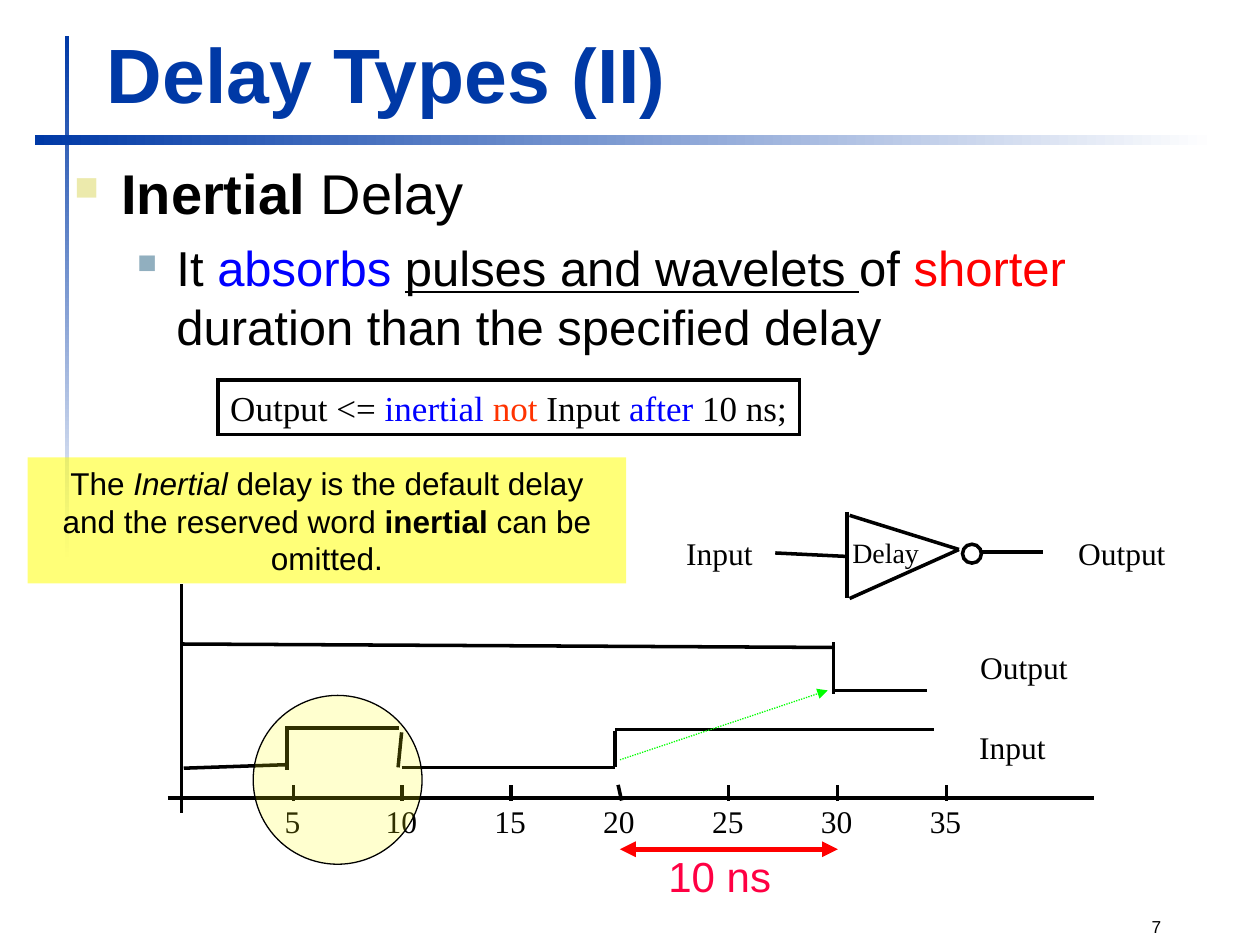
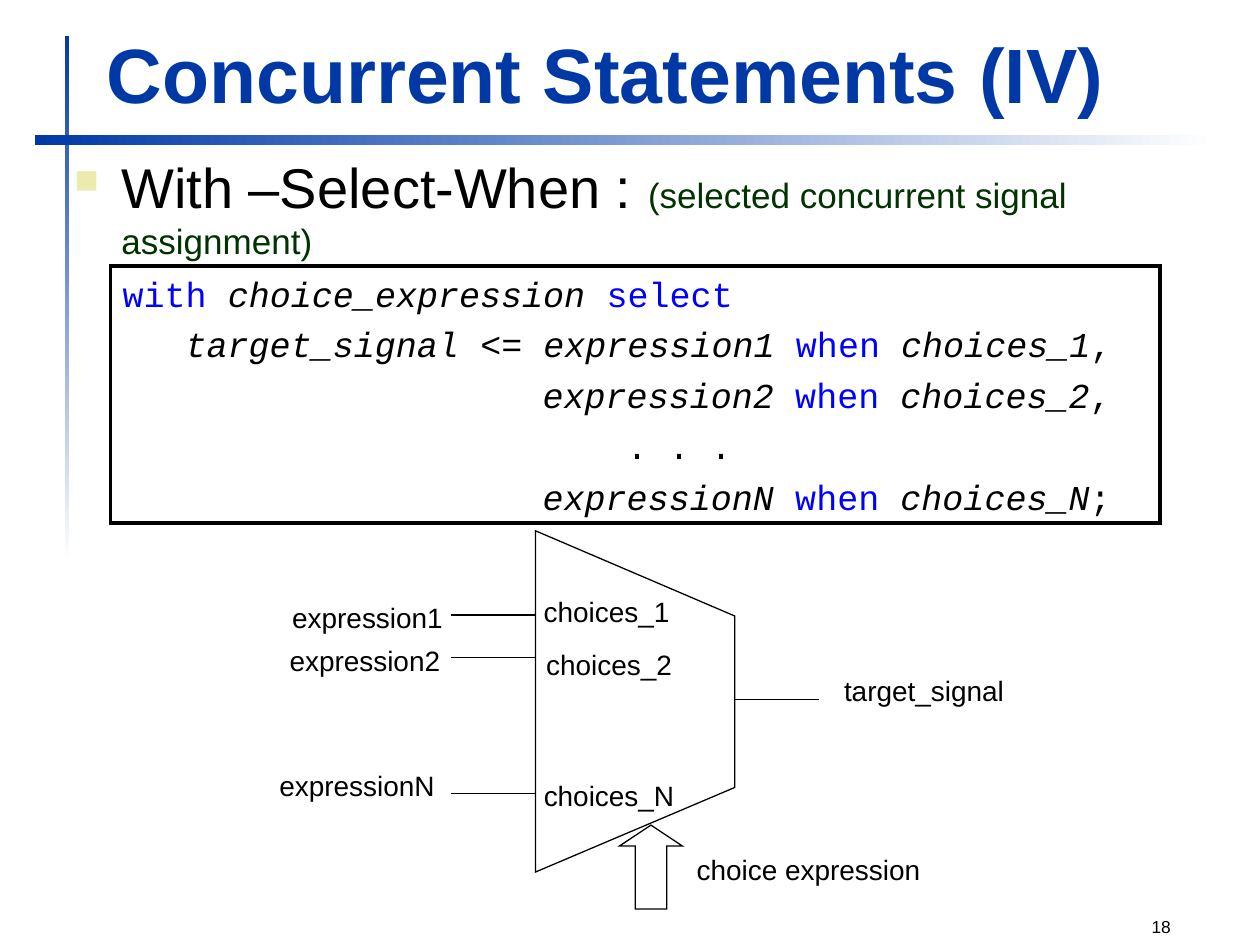
from dataclasses import dataclass

from lxml.etree import SubElement
from pptx import Presentation
from pptx.dml.color import RGBColor
from pptx.enum.dml import MSO_LINE
from pptx.enum.shapes import MSO_CONNECTOR, MSO_SHAPE
from pptx.enum.text import MSO_ANCHOR, PP_ALIGN
from pptx.oxml.ns import qn
from pptx.util import Pt


@dataclass(frozen=True)
class Theme:
    navy: str = "0039A6"
    white: str = "FFFFFF"
    black: str = "000000"
    blue: str = "0000FF"
    red: str = "FF0000"
    orange: str = "FF3300"
    rose: str = "FF0043"
    lime: str = "00FF00"
    green: str = "003300"
    yellow: str = "FFFF00"
    cream: str = "ECEAAC"
    steel: str = "91AFBF"
    sans: str = "Arial"
    serif: str = "Times New Roman"
    mono: str = "Courier New"
    title: float = 44
    head: float = 32
    sub: float = 28
    big: float = 24
    code: float = 20
    note: float = 18
    small: float = 16
    foot: float = 9.9
    thin: float = 0.75
    bold: float = 2
    thick: float = 3


T = Theme()


def color(code):
    return RGBColor.from_string(code)


def points(box):
    return [Pt(n) for n in box]


def run(words, **style):
    return words, style


def line(*runs, **style):
    return runs, style


def bullet(para, ink, percent, left, hang):
    props = para._p.get_or_add_pPr()
    props.set("marL", str(Pt(left)))
    props.set("indent", str(-Pt(hang)))
    tint = SubElement(props, qn("a:buClr"))
    SubElement(tint, qn("a:srgbClr"), val=ink)
    SubElement(props, qn("a:buSzPct"), val=str(percent * 1000))
    SubElement(props, qn("a:buChar"), char="■")


def text(holder, *lines, font=T.sans, size=T.small, ink=T.black, bold=False,
         align=PP_ALIGN.LEFT, anchor=MSO_ANCHOR.TOP, wrap=True, before=0):
    frame = holder.text_frame
    frame.word_wrap = wrap
    frame.vertical_anchor = anchor
    for i, (runs, look) in enumerate(lines):
        para = frame.paragraphs[0] if i == 0 else frame.add_paragraph()
        para.alignment = align
        para.space_before = Pt(look.get("before", before) if i else 0)
        if "mark" in look:
            bullet(para, *look["mark"])
        elif "indent" in look:
            props = para._p.get_or_add_pPr()
            props.set("marL", str(Pt(look["indent"])))
            props.set("indent", "0")
        for words, style in runs:
            part = para.add_run()
            part.text = words
            face = part.font
            face.name = font
            face.size = Pt(style.get("size", look.get("size", size)))
            face.color.rgb = color(style.get("ink", ink))
            face.bold = style.get("bold", bold)
            face.italic = style.get("italic", False)
            face.underline = style.get("under", False)


def label(slide, box, words, **style):
    text(slide.shapes.add_textbox(*points(box)), line(run(words)), **style)


def dress(shape, fill=None, alpha=None, edge=None, width=T.thin):
    shape.shadow.inherit = False
    if fill:
        shape.fill.solid()
        shape.fill.fore_color.rgb = color(fill)
        if alpha:
            tint = shape.fill._xPr.find(".//" + qn("a:srgbClr"))
            SubElement(tint, qn("a:alpha"), val=str(alpha * 1000))
    else:
        shape.fill.background()
    if edge:
        shape.line.color.rgb = color(edge)
        shape.line.width = Pt(width)
        SubElement(shape.line._get_or_add_ln(), qn("a:miter"), lim="800000")
    else:
        shape.line.fill.background()
    return shape


def form(slide, kind, box, **style):
    return dress(slide.shapes.add_shape(kind, *points(box)), **style)


def wire(slide, ends, ink=T.black, width=T.bold, dash=None, tips=()):
    link = slide.shapes.add_connector(MSO_CONNECTOR.STRAIGHT, *points(ends))
    link.line.color.rgb = color(ink)
    link.line.width = Pt(width)
    if dash:
        link.line.dash_style = dash
    for tip in tips:
        SubElement(link.line._get_or_add_ln(), qn("a:" + tip), type="triangle")
    SubElement(link._element.spPr, qn("a:effectLst"))


def band(slide, box, angle):
    bar = form(slide, MSO_SHAPE.RECTANGLE, box)
    bar.fill.gradient()
    bar.fill.gradient_angle = angle
    for stop, ink in zip(bar.fill.gradient_stops, (T.navy, T.white)):
        stop.color.rgb = color(ink)


def page(deck, title, number):
    slide = deck.slides.add_slide(deck.slide_layouts[6])
    band(slide, (37, 20.4, 2.7, 300), 270)
    band(slide, (19.8, 77, 675, 5.8), 0)
    label(slide, (651, 520, 69, 20), number, size=T.foot)
    label(slide, (54, 11.5, 650, 60), title, size=T.title, ink=T.navy,
          bold=True, anchor=MSO_ANCHOR.BOTTOM)
    return slide


def body(slide, top, *lines):
    text(slide.shapes.add_textbox(*points((35.3, top, 648, 356))), *lines)


def serif(slide, box, words, size=T.note, align=PP_ALIGN.LEFT):
    label(slide, box, words, font=T.serif, size=size, wrap=False, align=align)


def gate(slide):
    serif(slide, (480, 302.5, 56, 26), "Delay", size=T.small)
    for ends in ((485.5, 294.5, 548, 314), (485.5, 342, 548, 314),
                 (484, 292.5, 484, 341.5), (484.5, 318, 443, 316),
                 (596, 315.5, 560.5, 315.5)):
        wire(slide, ends)
    form(slide, MSO_SHAPE.OVAL, (550, 311, 10.8, 10.8), edge=T.black, width=T.bold)
    serif(slide, (385, 301.5, 58, 29), "Input")
    serif(slide, (609, 301.5, 72, 29), "Output")


def waves(slide):
    axes = ((103.7, 334, 103.7, 464.5), (96, 456, 625, 456))
    pulse = ((105, 439, 163, 437), (164, 440, 164, 415), (165, 416, 228, 416),
             (229.5, 418.5, 227.5, 438.5), (229.5, 438.5, 351.5, 438.5),
             (351.5, 417.5, 351.5, 438.5), (351.5, 417, 533.5, 417))
    result = ((476.3, 396.5, 476.3, 367), (477, 394.5, 530, 394.5),
              (476.5, 370, 103, 368))
    for ends in axes + pulse + result:
        wire(slide, ends)
    for i, time in enumerate(range(5, 40, 5)):
        x = 167.6 + 62.2 * i
        lean = 2 if time == 20 else 0
        wire(slide, (x + lean / 2, 457.5, x - lean / 2, 448.5))
        serif(slide, (x - 20.5, 455, 40, 29), str(time), align=PP_ALIGN.CENTER)
    serif(slide, (552.5, 412.5, 58, 29), "Input")
    serif(slide, (553, 367, 72, 29), "Output")


def delays(deck):
    slide = page(deck, "Delay Types (II)", "7")
    body(slide, 87,
         line(run("Inertial", bold=True), run(" Delay"),
              size=T.head, mark=(T.cream, 60, 27, 27)),
         line(run("It "), run("absorbs ", ink=T.blue),
              run("pulses and wavelets ", under=True), run("of "),
              run("shorter", ink=T.red), run(" duration than the specified delay"),
              size=T.sub, before=7, mark=(T.steel, 55, 58.5, 22.5)))
    rule = form(slide, MSO_SHAPE.RECTANGLE, (124.5, 217.3, 332.5, 31),
                edge=T.black, width=T.bold)
    text(rule, line(run("Output <= "), run("inertial ", ink=T.blue),
                    run("not", ink=T.orange), run(" Input "),
                    run("after", ink=T.blue), run(" 10 ns;")),
         font=T.serif, size=T.code, wrap=False)
    gate(slide)
    waves(slide)
    form(slide, MSO_SHAPE.OVAL, (144.7, 397.4, 96.5, 96.5),
         fill=T.yellow, alpha=19, edge=T.black)
    wire(slide, (354.3, 485.3, 478.8, 485.3), ink=T.red, width=T.thick,
         tips=("headEnd", "tailEnd"))
    wire(slide, (354.3, 434.2, 473, 394.5), ink=T.lime, width=T.thin,
         dash=MSO_LINE.ROUND_DOT, tips=("tailEnd",))
    label(slide, (361.3, 482.4, 100, 36), "10 ns", size=T.big, ink=T.rose,
          align=PP_ALIGN.CENTER, wrap=False)
    note = form(slide, MSO_SHAPE.RECTANGLE, (15.8, 261.4, 342, 72),
                fill=T.yellow, alpha=53)
    text(note, line(run("The "), run("Inertial ", italic=True),
                    run("delay is the default delay and the reserved word "),
                    run("inertial", bold=True), run(" can be omitted.")),
         size=T.note, align=PP_ALIGN.CENTER, anchor=MSO_ANCHOR.MIDDLE)


def choice(mark, end):
    return (run(f"expression{mark} ", italic=True), run("when ", ink=T.blue),
            run(f"choices_{mark}", italic=True), run(end))


def select(slide):
    cell = 12
    frame = form(slide, MSO_SHAPE.RECTANGLE, (63, 152, 600, 147),
                 edge=T.black, width=T.bold)
    text(frame,
         line(run("with ", ink=T.blue), run("choice_expression ", italic=True),
              run("select", ink=T.blue)),
         line(run("target_signal", italic=True), run(" <= "), *choice("1", ","),
              indent=3 * cell),
         line(*choice("2", ","), indent=20 * cell),
         line(run(". . ."), indent=24 * cell),
         line(*choice("N", ";"), indent=20 * cell),
         font=T.mono, size=T.code, before=5)


def mux(slide):
    left, right = 306, 419.8
    corners = [(right, 450), (right, 352), (left, 303.3)]
    pen = slide.shapes.build_freeform(Pt(left), Pt(498.3))
    pen.add_line_segments([points(spot) for spot in corners], close=True)
    dress(pen.convert_to_shape(), edge=T.black)
    for y in (351.4, 375.6, 453.6):
        wire(slide, (left, y, 258, y), width=T.thin)
    wire(slide, (468, 399.6, right, 399.6), width=T.thin)
    arrow = form(slide, MSO_SHAPE.UP_ARROW, (354, 471.5, 36, 48), edge=T.black)
    arrow.adjustments[0] = 0.5
    arrow.adjustments[1] = 0.333
    for words, mid, top in (("choices_1", 346.6, 336.2), ("choices_2", 348, 366.5),
                            ("choices_N", 348, 441.4), ("target_signal", 528, 381.6),
                            ("choice expression", 462, 483.8),
                            ("expression1", 210, 339.8), ("expression2", 208.5, 364.3),
                            ("expressionN", 204, 435.6)):
        label(slide, (mid - 75, top, 150, 26.6), words, align=PP_ALIGN.CENTER)


def choices(deck):
    slide = page(deck, "Concurrent Statements (IV)", "18")
    body(slide, 83.5,
         line(run("With –Select-When : ", size=T.head),
              run("(selected concurrent signal assignment)", size=T.code, ink=T.green),
              mark=(T.cream, 60, 27, 27)))
    select(slide)
    mux(slide)


def main():
    deck = Presentation()
    deck.slide_width, deck.slide_height = points((720, 540))
    delays(deck)
    choices(deck)
    deck.save("out.pptx")


if __name__ == "__main__":
    main()
